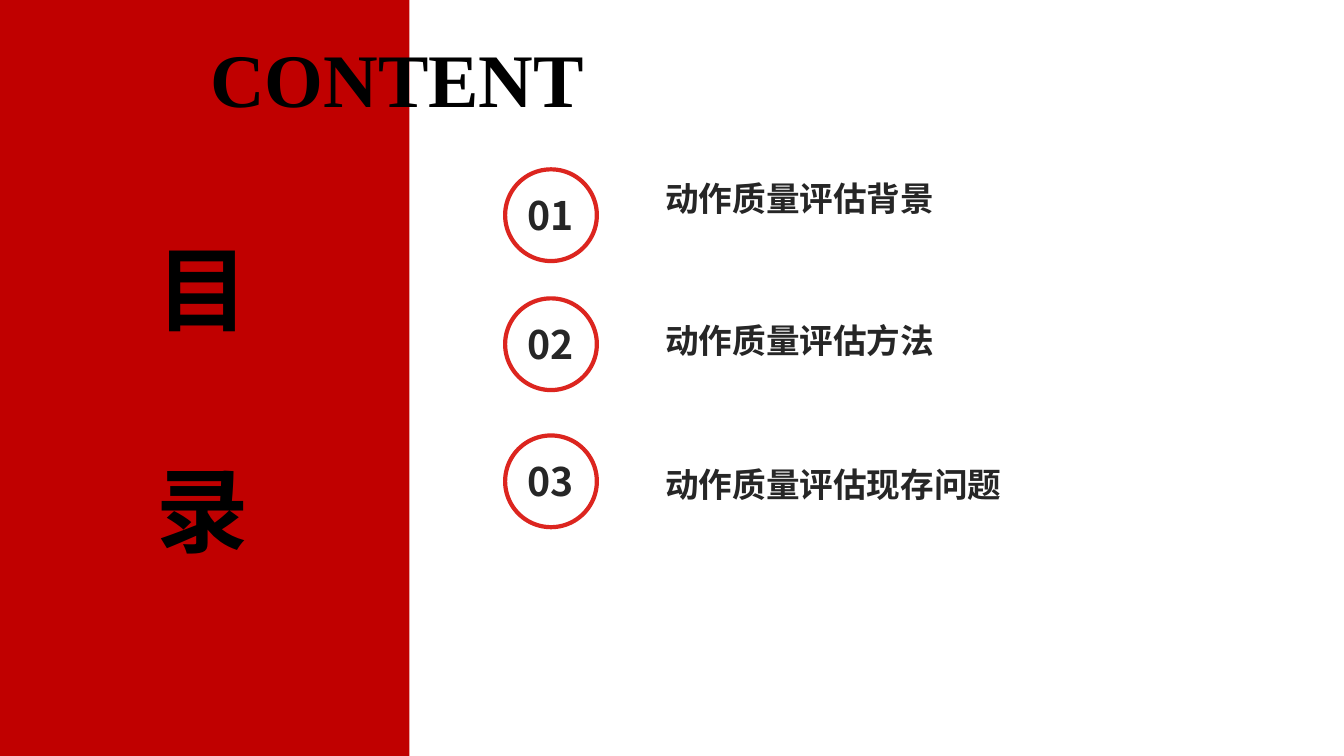
import pptx
import pptx.dml.color
import pptx.enum.shapes
import pptx.enum.text
import pptx.oxml
import pptx.oxml.ns
import pptx.util
from dataclasses import dataclass

Inches = pptx.util.Inches
Pt = pptx.util.Pt
MSO_SHAPE = pptx.enum.shapes.MSO_SHAPE
PP_ALIGN = pptx.enum.text.PP_ALIGN


@dataclass(frozen=True)
class Theme:
    panel: str = "C00000"
    ring: str = "DC251F"
    white: str = "FFFFFF"
    black: str = "000000"
    ink: str = "262626"
    sans: str = "Noto Sans CJK SC"
    serif: str = "Times New Roman"
    item_size: int = 24
    number_size: int = 28
    heading_size: int = 54
    side_size: int = 66


THEME = Theme()
ITEMS = [
    ("01", 1.68, "动作质量评估背景", 1.72),
    ("02", 2.96, "动作质量评估方法", 3.12),
    ("03", 4.32, "动作质量评估现存问题", 4.55),
]


def rgb(color):
    return pptx.dml.color.RGBColor.from_string(color)


def add_outline(r, color, width):
    ns = pptx.oxml.ns.nsdecls("a")
    ln = pptx.oxml.parse_xml(
        f'<a:ln {ns} w="{Pt(width)}"><a:solidFill>'
        f'<a:srgbClr val="{color}"/></a:solidFill></a:ln>'
    )
    r.font._element.insert(0, ln)


def add_text(shapes, text, left, top, width, height, *, size, font=THEME.sans,
             color=THEME.ink, align=PP_ALIGN.LEFT, gap=0, outline=None):
    sp = shapes.add_textbox(Inches(left), Inches(top), Inches(width), Inches(height))
    tf = sp.text_frame
    tf.word_wrap = True
    tf.auto_size = pptx.enum.text.MSO_AUTO_SIZE.SHAPE_TO_FIT_TEXT
    for i, line in enumerate(text.split("\n")):
        p = tf.paragraphs[0] if i == 0 else tf.add_paragraph()
        p.alignment = align
        if i:
            p.space_before = Pt(gap)
        r = p.add_run()
        r.text = line
        r.font.size = Pt(size)
        r.font.name = font
        r.font.bold = True
        r.font.color.rgb = rgb(color)
        ea = pptx.oxml.parse_xml(
            f'<a:ea {pptx.oxml.ns.nsdecls("a")} typeface="{THEME.sans}"/>'
        )
        r.font._element.find(pptx.oxml.ns.qn("a:latin")).addnext(ea)
        if outline:
            add_outline(r, outline, 0.75)
    return sp


def add_filled(shapes, kind, left, top, width, height, fill, line=None):
    sp = shapes.add_shape(kind, Inches(left), Inches(top), Inches(width), Inches(height))
    sp.shadow.inherit = False
    sp.fill.solid()
    sp.fill.fore_color.rgb = rgb(fill)
    if line:
        sp.line.color.rgb = rgb(line)
        sp.line.width = Pt(3)
    else:
        sp.line.fill.background()
    return sp


def add_badge(s, number, top):
    shapes = s.shapes.add_group_shape().shapes
    add_filled(shapes, MSO_SHAPE.OVAL, 5.01, top, 0.91, 0.91, THEME.white, THEME.ring)
    add_text(shapes, number, 5.09, top + 0.17, 0.74, 0.57,
             size=THEME.number_size, align=PP_ALIGN.CENTER)


def main():
    prs = pptx.Presentation()
    prs.slide_width = Inches(13.33)
    prs.slide_height = Inches(7.5)
    s = prs.slides.add_slide(prs.slide_layouts[6])

    add_filled(s.shapes, MSO_SHAPE.RECTANGLE, 0, 0, 4.06, 7.5, THEME.panel)
    for number, badge_top, label, label_top in ITEMS:
        add_badge(s, number, badge_top)
        add_text(s.shapes, label, 6.5, label_top, 6.11, 0.5, size=THEME.item_size)
    add_text(s.shapes, "CONTENT", 1.64, 0.27, 4.6, 1.01, size=THEME.heading_size,
             font=THEME.serif, color=THEME.black, align=PP_ALIGN.CENTER)
    add_text(s.shapes, "目\n录", 0, 2.25, 4.03, 3.43, size=THEME.side_size,
             font=THEME.serif, color=THEME.black, align=PP_ALIGN.CENTER,
             gap=79, outline=THEME.white)
    prs.save("out.pptx")


if __name__ == "__main__":
    main()
